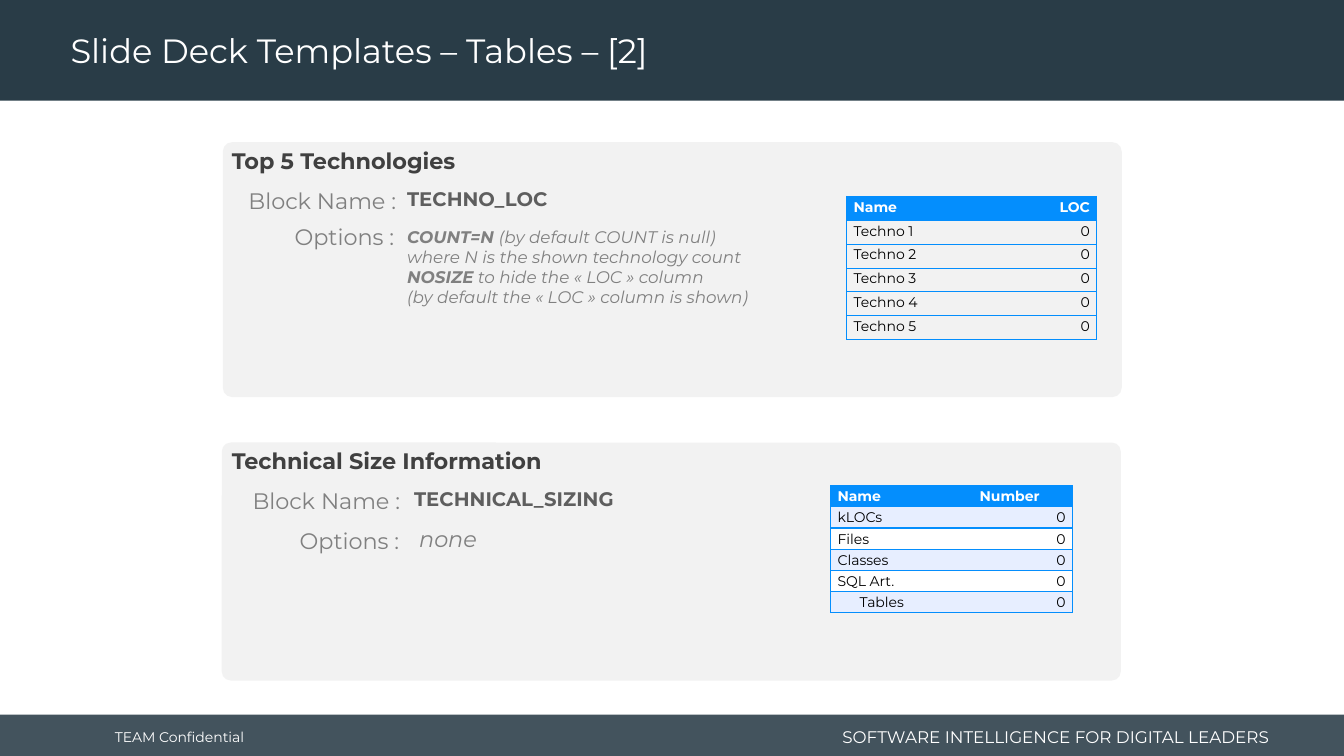
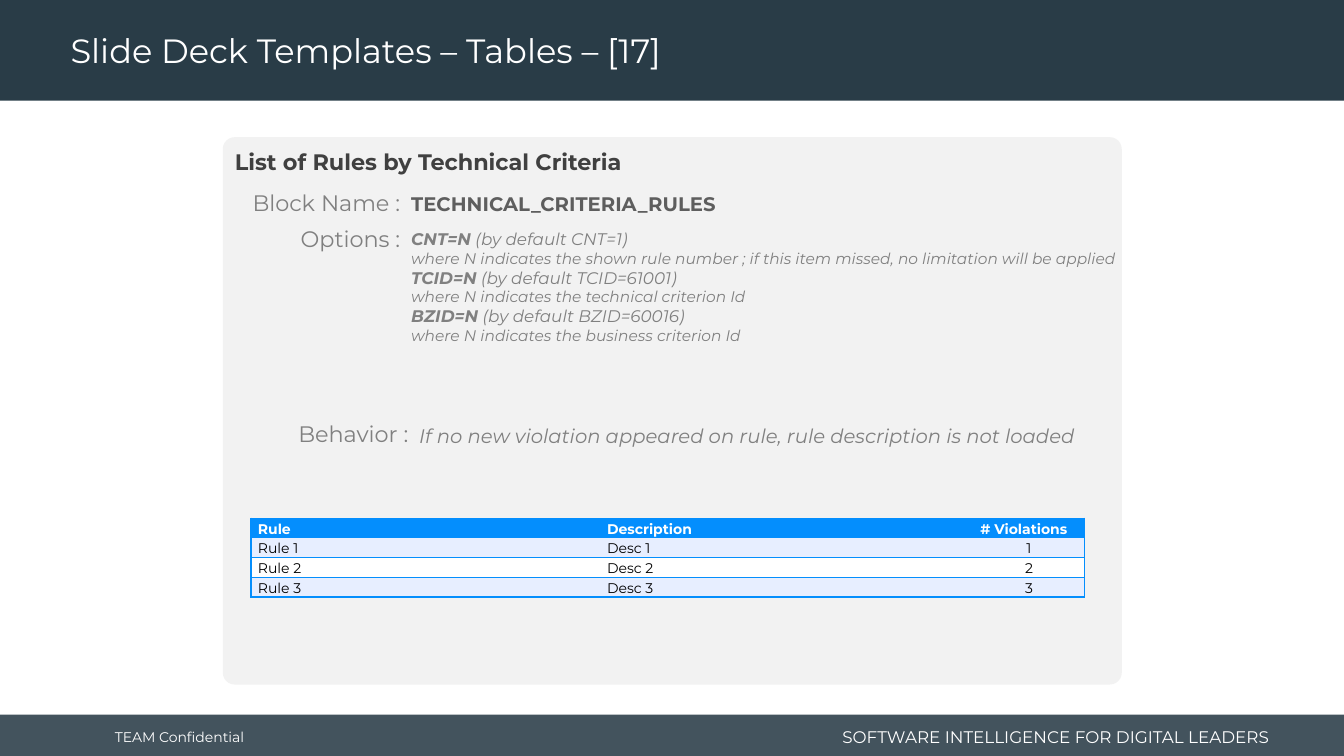
"""Build two slides that document table blocks of a report template."""
from lxml.etree import SubElement
from pptx import Presentation
from pptx.dml.color import RGBColor
from pptx.enum.shapes import MSO_SHAPE
from pptx.enum.text import MSO_ANCHOR, MSO_AUTO_SIZE, PP_ALIGN
from pptx.oxml.ns import qn
from pptx.util import Pt

COLORS = {
    "navy": "293C47", "white": "FFFFFF", "black": "000000", "panel": "F2F2F2",
    "heading": "404040", "block": "5E5E5E", "gray": "808080",
    "blue": "048EFD", "pale": "E7EEFF",
}
STYLES = {
    "title": {"size": Pt(24), "color": "white"},
    "confidential": {"size": Pt(10), "color": "white"},
    "slogan": {"size": Pt(12), "color": "white"},
    "heading": {"size": Pt(16), "color": "heading", "bold": True},
    "block": {"size": Pt(14), "color": "block", "bold": True},
    "label": {"size": Pt(16), "color": "gray"},
    "none": {"size": Pt(16), "color": "gray", "italic": True},
    "behavior": {"size": Pt(14), "color": "gray", "italic": True},
    "keyword": {"size": Pt(12), "color": "gray", "bold": True, "italic": True},
    "option": {"size": Pt(12), "color": "gray", "italic": True},
    "note": {"size": Pt(11), "color": "gray", "italic": True},
    "column": {"size": Pt(10), "color": "white", "bold": True},
    "cell": {"size": Pt(10), "color": "black", "bold": False},
}
LEFT, CENTER, RIGHT = PP_ALIGN.LEFT, PP_ALIGN.CENTER, PP_ALIGN.RIGHT
VALUE_WIDTH = 522

SLIDES = [
    {
        "title": "Slide Deck Templates – Tables – [2]",
        "panels": [
            {
                "box": (159.1, 101.5, 642.2, 182.2), "corner": 0.038,
                "heading": ("Top 5 Technologies", 151.2, 101.5),
                "labels": [("Block Name :", 169.9, 130.3, 120.2),
                           ("Options :", 201.6, 155.5, 87.1)],
                "values": [
                    (283.7, 130.3, 24.5, [[("TECHNO_LOC", "block")]]),
                    (283.7, 158.4, 65.5, [
                        [("COUNT=N ", "keyword"), ("(by default COUNT is null)", "option")],
                        [("where N is the shown technology count", "option")],
                        [("NOSIZE", "keyword"), (" to hide the « LOC » column", "option")],
                        [("(by default the « LOC » column is shown)", "option")],
                    ]),
                ],
                "table": {
                    "at": (604.8, 140.2), "columns": (104.4, 74.2), "row": 17.06,
                    "line": 0.5, "bands": (None, None),
                    "header_align": (LEFT, RIGHT), "body_align": (LEFT, RIGHT),
                    "rows": [("Name", "LOC")] + [(f"Techno {n}", "0") for n in range(1, 6)],
                },
            },
            {
                "box": (158.4, 316.1, 642.2, 170), "corner": 0.038,
                "heading": ("Technical Size Information", 151.2, 316.1),
                "labels": [("Block Name :", 172.8, 344.2, 120.2),
                           ("Options :", 205.2, 373, 87.1)],
                "values": [
                    (288.7, 344.2, 24.5, [[("TECHNICAL_SIZING", "block")]]),
                    (292.3, 371.5, 26.6, [[("none", "none")]]),
                ],
                "table": {
                    "at": (593.3, 347), "columns": (101.5, 71.3), "row": 15.1,
                    "line": 1, "bands": ("pale", "white"), "indented": ("Tables",),
                    "header_align": (LEFT, LEFT), "body_align": (LEFT, RIGHT),
                    "rows": [("Name", "Number"), ("kLOCs", "0"), ("Files", "0"),
                             ("Classes", "0"), ("SQL Art.", "0"), ("Tables", "0")],
                },
            },
        ],
    },
    {
        "title": "Slide Deck Templates – Tables – [17]",
        "panels": [
            {
                "box": (159.1, 98, 642.2, 391), "corner": 0.022,
                "heading": ("List of Rules by Technical Criteria", 153.4, 102.2),
                "labels": [("Block Name :", 172.8, 131.8, 120.2),
                           ("Options :", 205.9, 157, 87.1),
                           ("Behavior :", 204.5, 296.6, 94.3)],
                "values": [
                    (286.6, 133.2, 24.5, [[("TECHNICAL_CRITERIA_RULES", "block")]]),
                    (286.6, 159.8, 92.2, [
                        [("CNT=N", "keyword"), (" (by default CNT=1)", "option")],
                        [("where N indicates the shown rule number ; if this item missed, "
                          "no limitation will be applied", "note")],
                        [("TCID=N", "keyword"), (" (by default TCID=61001)", "option")],
                        [("where N indicates the technical criterion Id", "note")],
                        [("BZID=N", "keyword"), (" (by default BZID=60016)", "option")],
                        [("where N indicates the business criterion Id", "note")],
                    ]),
                    (292.3, 299.5, 24.5, [[
                        ("If no new violation appeared on rule, "
                         "rule description is not loaded", "behavior")]]),
                ],
                "table": {
                    "at": (179.3, 370.1), "columns": (249.4, 266.6, 79.4), "row": 14.1,
                    "line": 1, "bands": ("pale", "white"),
                    "header_align": (LEFT, LEFT, LEFT), "body_align": (LEFT, LEFT, CENTER),
                    "rows": [("Rule", "Description", "# Violations")]
                    + [(f"Rule {n}", f"Desc {n}", f"{n}") for n in range(1, 4)],
                },
            },
        ],
    },
]


def write(frame, paragraphs, align=LEFT, spacing=1.0):
    """Fill a text frame with paragraphs of (text, style) runs."""
    for index, runs in enumerate(paragraphs):
        paragraph = frame.add_paragraph() if index else frame.paragraphs[0]
        paragraph.alignment = align
        paragraph.line_spacing = spacing
        for text, style in runs:
            run = paragraph.add_run()
            run.text = text
            run.font.name = "Montserrat"
            for name, value in STYLES[style].items():
                if name == "color":
                    run.font.color.rgb = RGBColor.from_string(COLORS[value])
                else:
                    setattr(run.font, name, value)


def add_text(shapes, box, paragraphs, align=LEFT, **frame_format):
    """Add a text box and return it."""
    textbox = shapes.add_textbox(*map(Pt, box))
    for name, value in {"word_wrap": True, **frame_format}.items():
        setattr(textbox.text_frame, name, value)
    write(textbox.text_frame, paragraphs, align)
    return textbox


deck = Presentation()
deck.slide_width, deck.slide_height = Pt(960), Pt(540)
layout = deck.slide_layouts[5]
title_area = layout.placeholders[0]
for side, length in zip(("left", "top", "width", "height"), (43.2, 2.9, 689.8, 69.1)):
    setattr(title_area, side, Pt(length))
slides = [deck.slides.add_slide(layout) for _ in SLIDES]

shared = []
for top, height, opacity in ((510.5, 29.5, 88), (0, 72, 100)):
    band = slides[0].shapes.add_shape(MSO_SHAPE.RECTANGLE, 0, Pt(top), Pt(960), Pt(height))
    band.shadow.inherit = False
    band.fill.solid()
    band.fill.fore_color.rgb = RGBColor.from_string(COLORS["navy"])
    band.line.fill.background()
    tint = band.element.spPr.find(f"{qn('a:solidFill')}/{qn('a:srgbClr')}")
    SubElement(tint, qn("a:alpha"), val=str(opacity * 1000))
    shared.append(band)
shared.append(add_text(slides[0].shapes, (74.9, 511.9, 106.6, 28.8),
                       [[("TEAM Confidential", "confidential")]],
                       word_wrap=False, vertical_anchor=MSO_ANCHOR.MIDDLE))
shared.append(add_text(slides[0].shapes, (583.9, 514.8, 329.8, 23),
                       [[("SOFTWARE INTELLIGENCE FOR DIGITAL LEADERS", "slogan")]],
                       RIGHT, vertical_anchor=MSO_ANCHOR.MIDDLE))
for position, part in enumerate(shared, start=2):
    layout.shapes.element.insert(position, part.element)

for slide, content in zip(slides, SLIDES):
    title = slide.shapes.title.text_frame
    title.vertical_anchor = MSO_ANCHOR.MIDDLE
    title.auto_size = MSO_AUTO_SIZE.NONE
    write(title, [[(content["title"], "title")]], spacing=0.9)

    for panel in content["panels"]:
        group = slide.shapes.add_group_shape().shapes
        card = group.add_shape(MSO_SHAPE.ROUNDED_RECTANGLE, *map(Pt, panel["box"]))
        card.adjustments[0] = panel["corner"]
        card.shadow.inherit = False
        card.fill.solid()
        card.fill.fore_color.rgb = RGBColor.from_string(COLORS["panel"])
        card.line.fill.background()

        heading, left, top = panel["heading"]
        add_text(group, (left, top, 641.5, 26.6), [[(heading, "heading")]],
                 margin_left=Pt(14.4), margin_right=Pt(14.4))
        for label, left, top, width in panel["labels"]:
            add_text(group, (left, top, width, 26.6), [[(label, "label")]],
                     RIGHT, word_wrap=False)
        for left, top, height, paragraphs in panel["values"]:
            add_text(group, (left, top, VALUE_WIDTH, height), paragraphs)

        sample = panel["table"]
        rows, widths = sample["rows"], sample["columns"]
        table = slide.shapes.add_table(
            len(rows), len(widths), *map(Pt, sample["at"]),
            Pt(sum(widths)), Pt(sample["row"] * len(rows))).table
        table.horz_banding = False
        for column, width in zip(table.columns, widths):
            column.width = Pt(width)
        for r, texts in enumerate(rows):
            table.rows[r].height = Pt(sample["row"])
            fill = sample["bands"][(r - 1) % 2] if r else "blue"
            aligns = sample["body_align"] if r else sample["header_align"]
            for c, text in enumerate(texts):
                cell = table.cell(r, c)
                indent = 15.8 if text in sample.get("indented", ()) else 0
                margins = {"left": 5 + indent, "right": 5, "top": 0, "bottom": 0}
                for side, margin in margins.items():
                    setattr(cell, f"margin_{side}", Pt(margin))
                write(cell.text_frame, [[(text, "cell" if r else "column")]],
                      aligns[c], 1.15)
                edges = {"lnL": c == 0, "lnR": c == len(widths) - 1, "lnT": True, "lnB": True}
                properties = cell._tc.get_or_add_tcPr()
                for edge, visible in edges.items():
                    border = SubElement(properties, qn(f"a:{edge}"), w=str(Pt(sample["line"])))
                    if visible:
                        paint = SubElement(border, qn("a:solidFill"))
                        SubElement(paint, qn("a:srgbClr"), val=COLORS["blue"])
                    else:
                        SubElement(border, qn("a:noFill"))
                if fill:
                    cell.fill.solid()
                    cell.fill.fore_color.rgb = RGBColor.from_string(COLORS[fill])
                else:
                    cell.fill.background()

deck.save("out.pptx")
